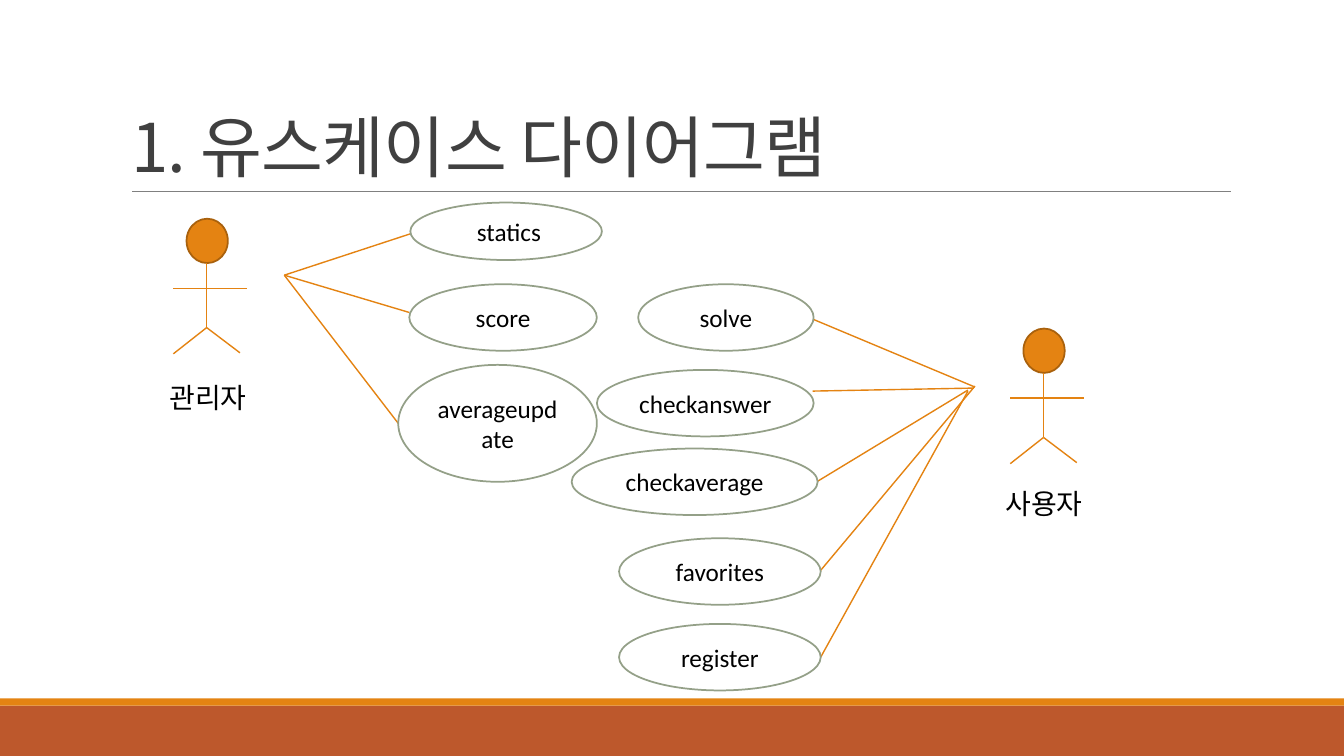
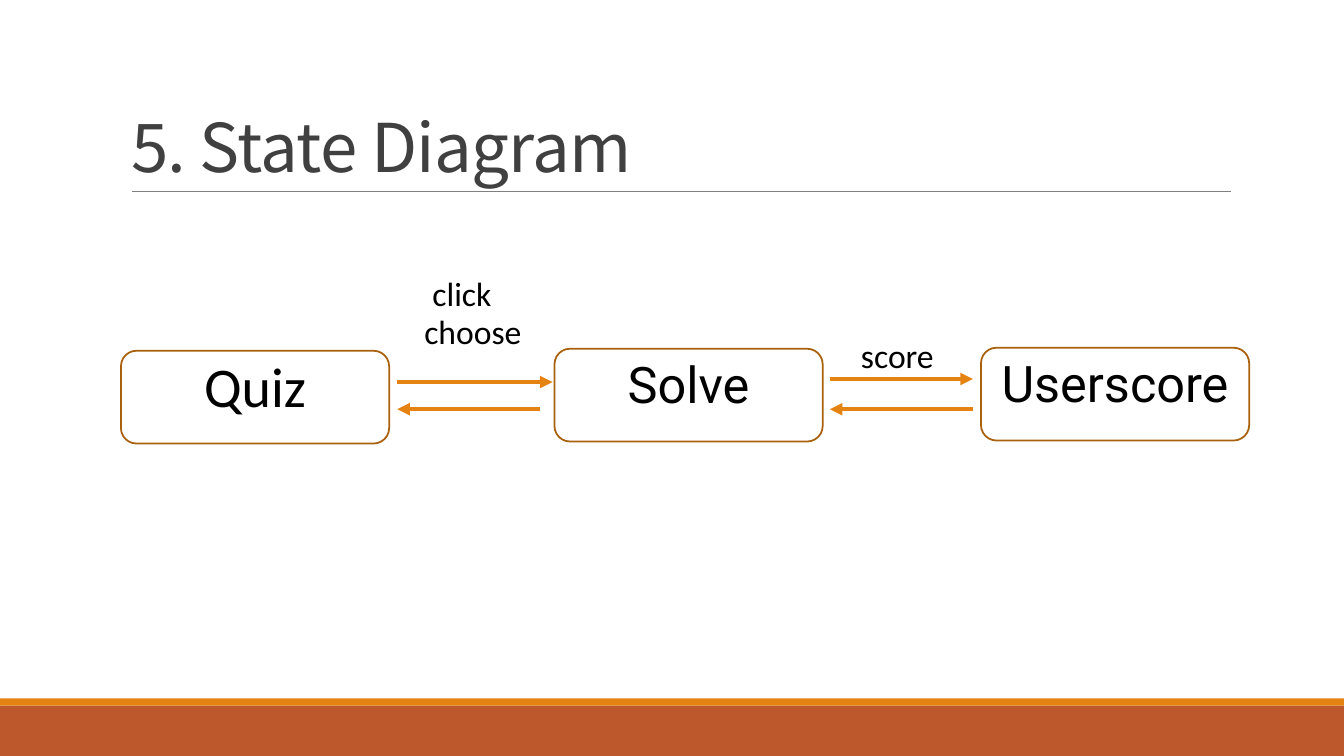
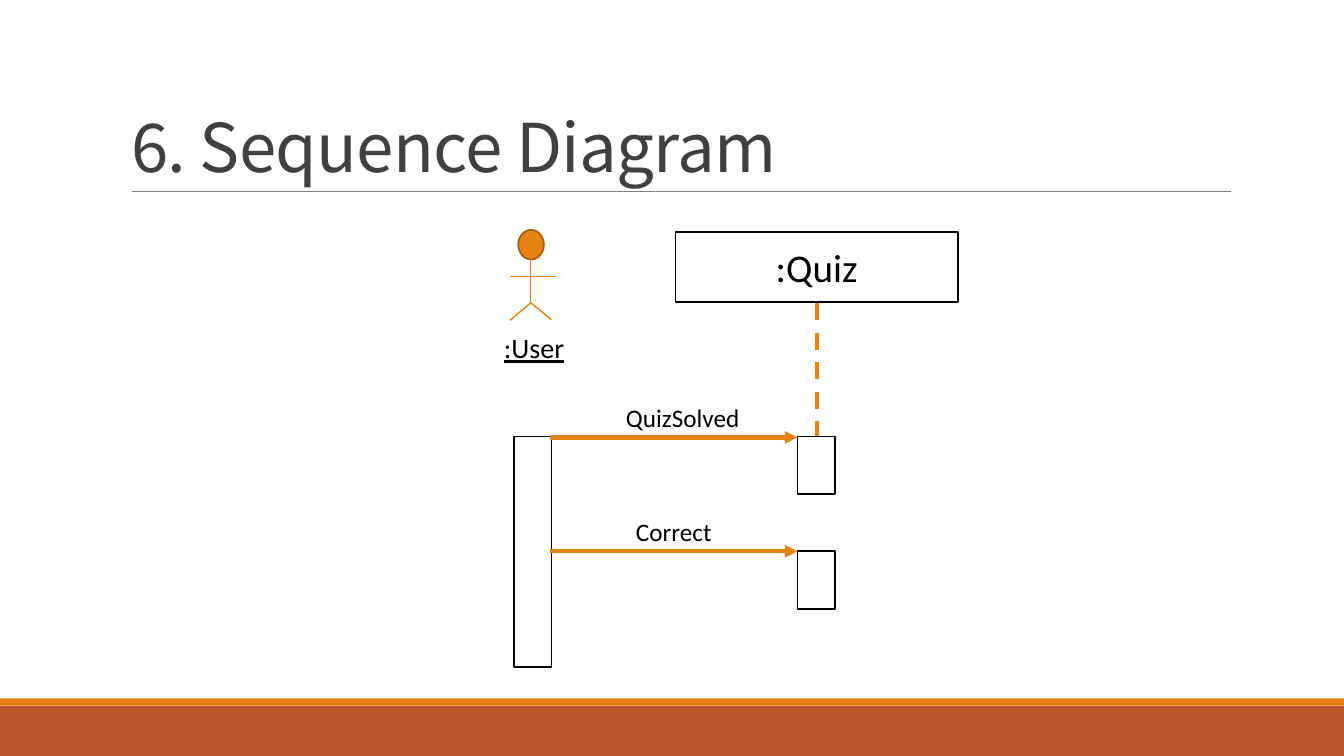
"""Build three slides of UML diagrams for a quiz application."""
from dataclasses import dataclass

from lxml import etree
from pptx import Presentation
from pptx import util as u
from pptx.dml.color import RGBColor
from pptx.enum import dml, shapes, text
from pptx.oxml.ns import qn


@dataclass(frozen=True)
class Theme:
    """Colours, fonts and type sizes used by every slide."""
    accent: str = "E48312"
    accent_dark: str = "A9610D"
    band: str = "BD582C"
    sage: str = "94A088"
    rule: str = "808080"
    heading: str = "404040"
    ink: str = "000000"
    paper: str = "FFFFFF"
    body_font: str = "Calibri"
    title_font: str = "Noto Sans CJK KR"
    state_font: str = "Roboto"
    title_size: int = 48
    quiz_size: int = 40
    state_size: int = 36
    object_size: int = 28
    event_size: int = 24
    actor_size: int = 20
    label_size: int = 18
    hairline: float = 0.5
    thin: float = 1
    outline: float = 1.25
    thick: float = 3


THEME = Theme()
KIND = shapes.MSO_SHAPE


def rgb(colour):
    """Return a colour object for a hex string."""
    return RGBColor.from_string(colour)


def add_span(para, words, size, font=THEME.body_font, colour=THEME.ink):
    """Append one formatted run to a paragraph."""
    span = para.add_run()
    span.text = words
    span.font.size = u.Pt(size)
    span.font.name = font
    span.font.color.rgb = rgb(colour)
    east_asian = etree.SubElement(span.font._element, qn("a:ea"))
    east_asian.set("typeface", THEME.title_font)
    return span


def add_figure(parent, kind, at, fill=THEME.paper, line=None):
    """Draw a filled preset shape, outlined when a line colour is given."""
    figure = parent.shapes.add_shape(kind, *map(u.Inches, at))
    figure.shadow.inherit = False
    figure.fill.solid()
    figure.fill.fore_color.rgb = rgb(fill)
    if line:
        figure.line.color.rgb = rgb(line)
        figure.line.width = u.Pt(THEME.outline)
    else:
        figure.line.fill.background()
    return figure


def add_caption(figure, words, size, font=THEME.body_font):
    """Centre a caption inside a shape."""
    frame = figure.text_frame
    frame.word_wrap = True
    frame.vertical_anchor = text.MSO_ANCHOR.MIDDLE
    para = frame.paragraphs[0]
    para.alignment = text.PP_ALIGN.CENTER
    add_span(para, words, size, font)


def add_label(parent, at, words, size, wrap=True):
    """Place free-standing text and return its run."""
    box = parent.shapes.add_textbox(*map(u.Inches, at))
    box.text_frame.word_wrap = wrap
    return add_span(box.text_frame.paragraphs[0], words, size)


def add_line(parent, start, end, width=THEME.thin, colour=THEME.accent,
             arrow=False, dashed=False):
    """Draw a straight line, optionally dashed or with an arrowhead."""
    line = parent.shapes.add_connector(
        shapes.MSO_CONNECTOR.STRAIGHT, *map(u.Inches, (*start, *end)))
    line.line.color.rgb = rgb(colour)
    line.line.width = u.Pt(width)
    if dashed:
        line.line.dash_style = dml.MSO_LINE.DASH
    if arrow:
        head = etree.SubElement(line.get_or_add_ln(), qn("a:tailEnd"))
        head.set("type", "triangle")
    etree.SubElement(line.element.spPr, qn("a:effectLst"))
    return line


def add_actor(slide, left, top, scale_x=1, scale_y=1):
    """Draw a stick figure as one group."""
    actor = slide.shapes.add_group_shape()

    def place(x, y):
        """Map a point of the figure to the slide."""
        return left + x * scale_x, top + y * scale_y

    add_figure(actor, KIND.OVAL,
               (*place(0.13, 0), 0.41 * scale_x, 0.44 * scale_y),
               THEME.accent, THEME.accent_dark)
    hip = (0.33, 1.08)
    for start, end in (((0, 0.69), (0.73, 0.69)), ((0.33, 0.44), hip),
                       (hip, (0.66, 1.33)), ((0, 1.34), hip)):
        add_line(actor, place(*start), place(*end))


def style_layout(layout, slide):
    """Give the layout its bands, rule and title position."""
    parts = [
        add_figure(slide, KIND.RECTANGLE, (0, 7, 13.33, 0.5), THEME.band),
        add_figure(slide, KIND.RECTANGLE, (0, 6.93, 13.33, 0.07), THEME.accent),
        add_line(slide, (1.31, 1.9), (12.21, 1.9), THEME.hairline, THEME.rule),
    ]
    for index, part in enumerate(parts, start=2):
        layout.shapes.element.insert(index, part.element)
    title = layout.placeholders[0]
    title.left, title.top = u.Inches(1.2), u.Inches(0.31)
    title.width, title.height = u.Inches(11), u.Inches(1.59)
    title.text_frame.vertical_anchor = text.MSO_ANCHOR.BOTTOM
    title.text_frame.auto_size = text.MSO_AUTO_SIZE.NONE


def add_title(slide, words):
    """Fill the title placeholder."""
    para = slide.shapes.title.text_frame.paragraphs[0]
    para.alignment = text.PP_ALIGN.LEFT
    para.line_spacing = 0.85
    span = add_span(para, words, THEME.title_size, THEME.title_font, THEME.heading)
    span.font._element.set("spc", "-50")


def draw_use_cases(slide):
    """Draw two actors linked to their use cases."""
    add_title(slide, "1. 유스케이스 다이어그램")
    add_actor(slide, 10.02, 3.26)
    add_actor(slide, 1.72, 2.17)
    add_label(slide, (1.58, 3.73, 1.29, 0.44), "관리자", THEME.actor_size)
    add_label(slide, (9.81, 4.78, 1.15, 0.44), " 사용자", THEME.actor_size)
    for end in ((4.07, 2.32), (4.06, 3.1), (3.95, 4.2)):
        add_line(slide, (2.82, 2.73), end)
    for start, end in (((8.07, 3.17), (9.67, 3.84)), ((8.06, 3.88), (9.66, 3.85)),
                       ((8.1, 4.78), (9.6, 3.87)), ((8.13, 5.67), (9.67, 3.83)),
                       ((8.14, 6.52), (9.6, 3.88))):
        add_line(slide, start, end)
    for words, *at in ((" statics", 4.07, 2.01, 1.9, 0.57),
                       ("score", 4.06, 2.82, 1.86, 0.66),
                       ("solve", 6.33, 2.82, 1.74, 0.66),
                       ("checkanswer", 5.92, 3.67, 2.15, 0.66),
                       ("checkaverage", 5.67, 4.45, 2.44, 0.66),
                       ("favorites", 6.14, 5.34, 2, 0.66),
                       ("register", 6.14, 6.19, 2, 0.66),
                       ("averageupdate", 3.95, 3.62, 1.97, 1.16)):
        oval = add_figure(slide, KIND.OVAL, at, line=THEME.sage)
        add_caption(oval, words, THEME.label_size)


def draw_states(slide):
    """Draw three states with the transitions between them."""
    add_title(slide, "5. State Diagram")
    for words, left, top, size, font in (
            ("Quiz", 1.2, 3.48, THEME.quiz_size, THEME.body_font),
            ("Solve", 5.5, 3.46, THEME.state_size, THEME.state_font),
            ("Userscore", 9.73, 3.45, THEME.state_size, THEME.state_font)):
        state = add_figure(slide, KIND.ROUNDED_RECTANGLE, (left, top, 2.66, 0.92),
                           line=THEME.accent_dark)
        add_caption(state, words, size, font)
        state.text_frame.margin_top = 0
        state.text_frame.margin_bottom = u.Inches(0.24)
    for start, end, y in ((3.94, 5.48, 3.79), (5.36, 3.94, 4.06),
                          (8.23, 9.65, 3.76), (9.65, 8.23, 4.06)):
        add_line(slide, (start, y), (end, y), THEME.thick, arrow=True)
    for words, left, top in (("click", 4.19, 2.66), ("choose", 4.11, 3.04),
                             ("score", 8.44, 3.27)):
        add_label(slide, (left, top, 1.29, 0.5), words, THEME.event_size)


def draw_sequence(slide):
    """Draw the messages sent from the user to the quiz."""
    add_title(slide, "6. Sequence Diagram")
    add_actor(slide, 5.06, 2.28, 0.62, 0.67)
    user = add_label(slide, (4.9, 3.23, 0.8, 0.44), ":User", THEME.actor_size)
    user.font.underline = True
    quiz = add_figure(slide, KIND.RECTANGLE, (6.7, 2.3, 2.8, 0.7), line=THEME.ink)
    add_caption(quiz, ":Quiz", THEME.object_size)
    add_line(slide, (8.1, 3.01), (8.1, 4.33), THEME.thick, dashed=True)
    for left, top, height in ((5.1, 4.33, 2.29), (7.91, 4.33, 0.57),
                              (7.91, 5.47, 0.57)):
        add_figure(slide, KIND.RECTANGLE, (left, top, 0.37, height), line=THEME.ink)
    for words, left, width, y in (("QuizSolved", 6.11, 1.34, 4.34),
                                  ("Correct", 6.21, 0.96, 5.47)):
        add_line(slide, (5.46, y), (7.91, y), THEME.thick, arrow=True)
        add_label(slide, (left, y - 0.4, width, 0.4), words, THEME.label_size,
                  wrap=False)


def main():
    """Build and save the deck."""
    deck = Presentation()
    deck.slide_width, deck.slide_height = u.Inches(13.33), u.Inches(7.5)
    layout = deck.slide_layouts.get_by_name("Title Only")
    pages = [deck.slides.add_slide(layout) for _ in range(3)]
    style_layout(layout, pages[0])
    for draw, page in zip((draw_use_cases, draw_states, draw_sequence), pages):
        draw(page)
    deck.save("out.pptx")


if __name__ == "__main__":
    main()
